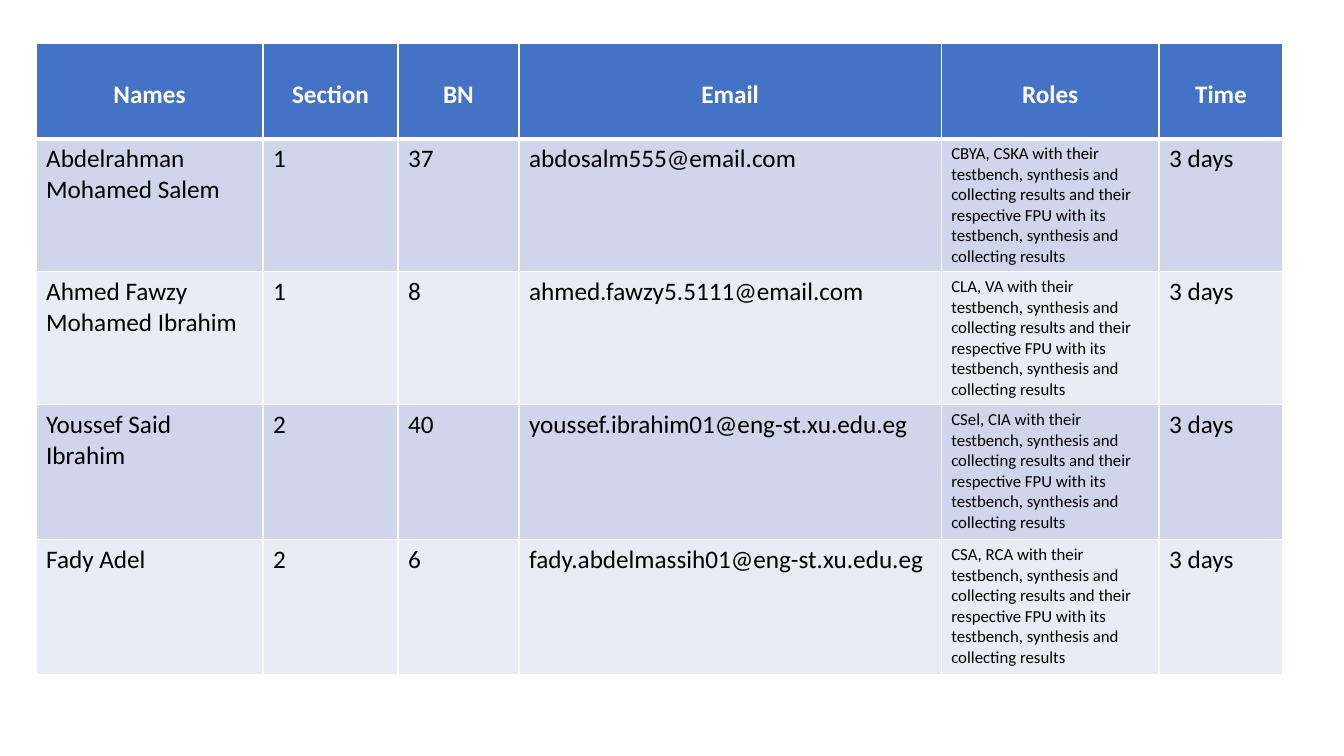
from lxml import etree
from pptx import Presentation
from pptx import util as u
from pptx.dml.color import RGBColor
from pptx.enum import text
from pptx.oxml.ns import qn

HEADINGS = ["Names", "Section", "BN", "Email", "Roles", "Time"]
SHARED_ROLE = (" with their testbench, synthesis and collecting results and their"
               " respective FPU with its testbench, synthesis and collecting results")
MEMBERS = [
    ("Abdelrahman Mohamed Salem", "1", "37", "abdosalm555@email.com", "CBYA, CSKA"),
    ("Ahmed Fawzy Mohamed Ibrahim", "1", "8", "ahmed.fawzy5.5111@email.com", "CLA, VA"),
    ("Youssef Said Ibrahim", "2", "40", "youssef.ibrahim01@eng-st.xu.edu.eg", "CSel, CIA"),
    ("Fady Adel", "2", "6", "fady.abdelmassih01@eng-st.xu.edu.eg", "CSA, RCA"),
]
COLUMN_WIDTHS = [5.72, 3.4, 3.05, 10.64, 5.49, 3.12]
ROW_HEIGHTS = [2.41, 3.35, 3.35, 3.4, 3.4]
ROLES_COLUMN = HEADINGS.index("Roles")
BAND_FILLS = ["E9EBF5", "CFD5EA"]


def color(hex_string):
    return RGBColor.from_string(hex_string)


def add_borders(cell, widths):
    """Draw white borders; widths maps L, R, T and B to points."""
    properties = cell._tc.get_or_add_tcPr()
    for side, width in widths.items():
        line = etree.SubElement(properties, qn(f"a:ln{side}"), w=str(u.Pt(width)))
        line_fill = etree.SubElement(line, qn("a:solidFill"))
        etree.SubElement(line_fill, qn("a:srgbClr"), val="FFFFFF")


prs = Presentation()
prs.slide_width, prs.slide_height = u.Cm(33.87), u.Cm(19.05)
slide = prs.slides.add_slide(prs.slide_layouts[6])

rows = [HEADINGS]
for name, section, bench_number, email, units in MEMBERS:
    rows.append([name, section, bench_number, email, units + SHARED_ROLE, "3 days"])

team = slide.shapes.add_table(
    len(rows), len(HEADINGS), u.Cm(0.91), u.Cm(1.09),
    u.Cm(sum(COLUMN_WIDTHS)), u.Cm(sum(ROW_HEIGHTS))).table
for column, width in zip(team.columns, COLUMN_WIDTHS):
    column.width = u.Cm(width)
for row, height in zip(team.rows, ROW_HEIGHTS):
    row.height = u.Cm(height)

for r, entries in enumerate(rows):
    is_header = r == 0
    for c, entry in enumerate(entries):
        cell = team.cell(r, c)
        add_borders(cell, {"L": 1, "R": 1, "T": 3 if r == 1 else 1, "B": 3 if is_header else 1})
        cell.fill.solid()
        cell.fill.fore_color.rgb = color("4472C4" if is_header else BAND_FILLS[r % 2])

        paragraph = cell.text_frame.paragraphs[0]
        if is_header:
            paragraph.alignment = text.PP_ALIGN.CENTER
            paragraph.line_spacing = 2.0
        run = paragraph.add_run()
        run.text = entry
        run.font.name = "Calibri"
        run.font.size = u.Pt(12 if c == ROLES_COLUMN and not is_header else 18)
        run.font.bold = is_header
        run.font.color.rgb = color("FFFFFF" if is_header else "000000")

prs.save("out.pptx")
